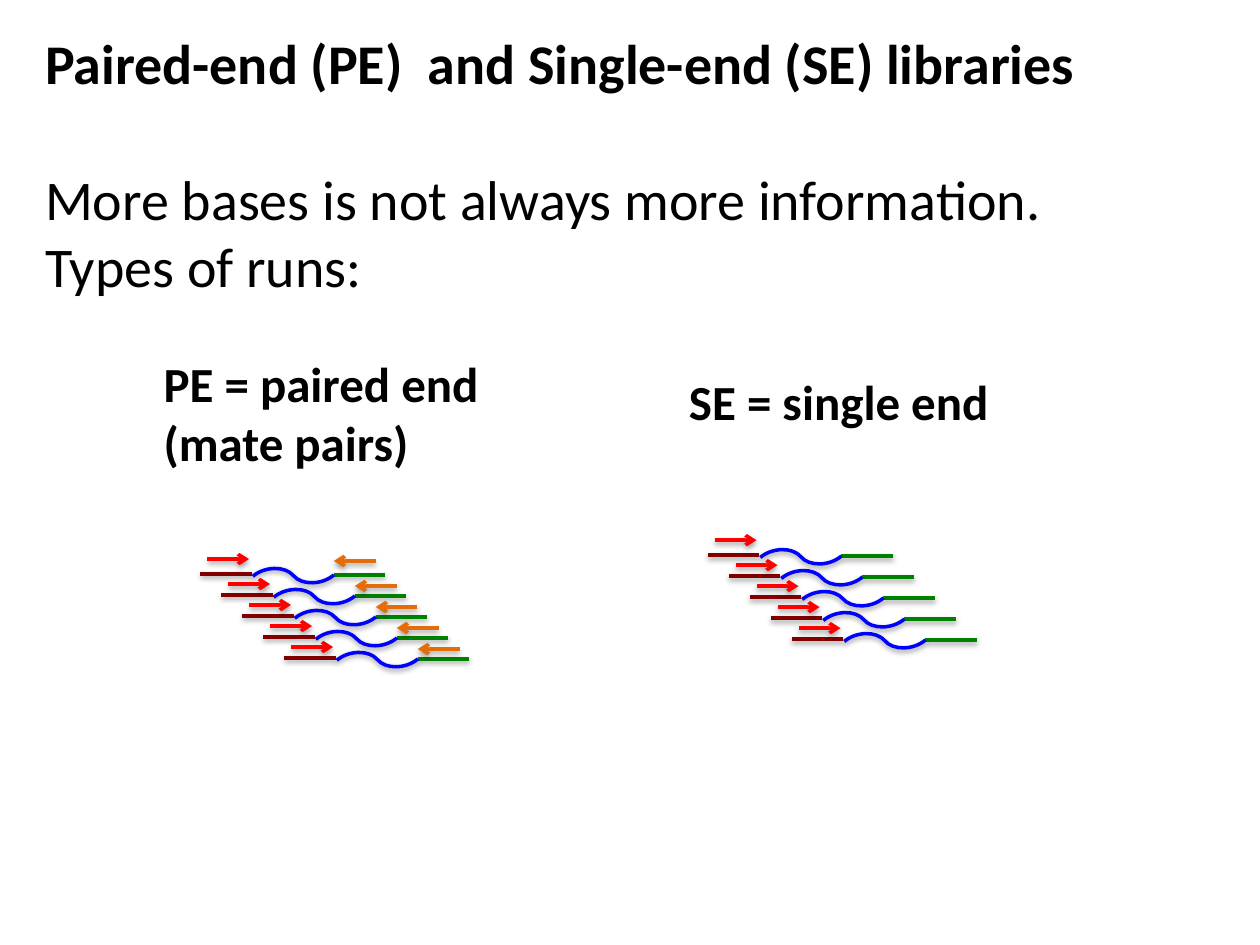
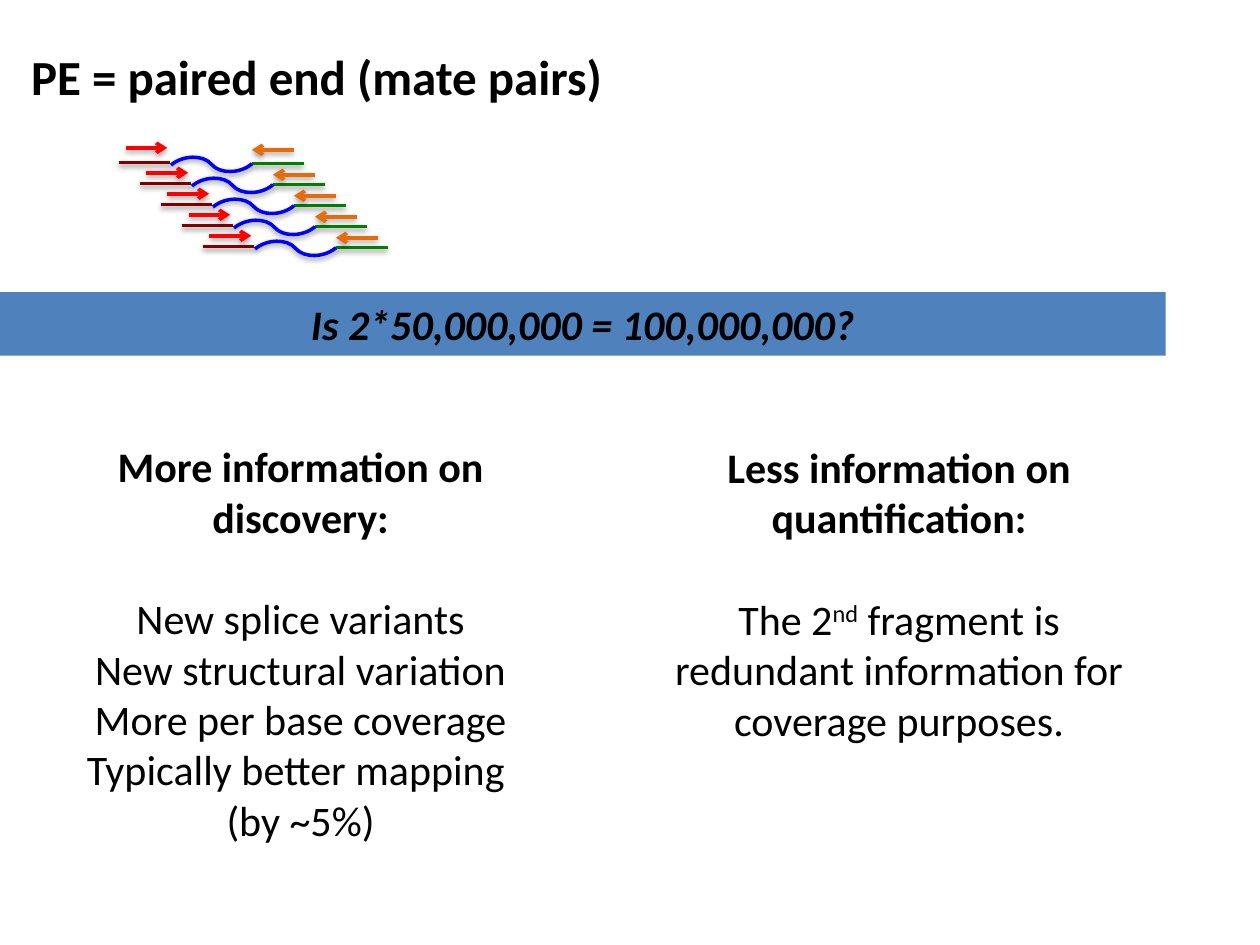
from lxml import etree
from pptx import Presentation
from pptx.dml.color import RGBColor
from pptx.enum.shapes import MSO_CONNECTOR, MSO_SHAPE
from pptx.enum.text import MSO_AUTO_SIZE, PP_ALIGN
from pptx.oxml.ns import qn
from pptx.util import Cm, Pt

STRAIGHT, CURVE = MSO_CONNECTOR.STRAIGHT, MSO_CONNECTOR.CURVE
RECT = MSO_SHAPE.RECTANGLE
LEFT, CENTER = PP_ALIGN.LEFT, PP_ALIGN.CENTER
GROW = MSO_AUTO_SIZE.SHAPE_TO_FIT_TEXT

BLACK = RGBColor(0x00, 0x00, 0x00)
BAND = RGBColor(0x4F, 0x81, 0xBD)
MAROON = RGBColor(0x80, 0x00, 0x00)
BLUE = RGBColor(0x00, 0x00, 0xFF)
GREEN = RGBColor(0x00, 0x80, 0x00)
RED = RGBColor(0xFF, 0x00, 0x00)
ORANGE = RGBColor(0xE4, 0x6C, 0x0A)

FONT = "Calibri"
LEADING = 1.22
ROWS = 5
STEP = 2.54 / 6


def write(frame, size, heads, body=(), align=LEFT, italic=False):
    """Bold heads, then a one-line gap and plain body; ^marks^ are raised."""
    for i, text in enumerate([*heads, *body]):
        para = frame.paragraphs[0] if i == 0 else frame.add_paragraph()
        para.alignment = align
        font = para.font
        font.name, font.size = FONT, Pt(size)
        font.bold, font.italic = i < len(heads), italic
        font.color.rgb = BLACK
        if i == len(heads):
            para.space_before = Pt(size * LEADING)
        for j, part in enumerate(text.split("^")):
            run = para.add_run()
            run.text = part
            if j % 2:
                run.font._element.set("baseline", "30000")


def add_text(slide, box, size, heads, body=(), align=LEFT, wrap=True):
    frame = slide.shapes.add_textbox(*map(Cm, box)).text_frame
    frame.word_wrap = wrap
    frame.auto_size = GROW
    write(frame, size, heads, body, align)


def add_band(slide, box, text):
    band = slide.shapes.add_shape(RECT, *map(Cm, box))
    band.shadow.inherit = False
    band.fill.solid()
    band.fill.fore_color.rgb = BAND
    band.line.fill.background()
    write(band.text_frame, 24, [text], align=CENTER, italic=True)


def add_line(shapes, color, start, end, kind=STRAIGHT, arrow=False):
    line = shapes.add_connector(kind, *map(Cm, (*start, *end)))
    line.line.color.rgb = color
    line.line.width = Pt(2)
    props = line.element.spPr
    if arrow:
        etree.SubElement(props.find(qn("a:ln")), qn("a:tailEnd"), type="arrow")
    effects = etree.SubElement(props, qn("a:effectLst"))
    shadow = etree.SubElement(effects, qn("a:outerShdw"), blurRad="40000",
                              dist="20000", dir="5400000", rotWithShape="0")
    tint = etree.SubElement(shadow, qn("a:srgbClr"), val="000000")
    etree.SubElement(tint, qn("a:alpha"), val="38000")
    return line


def add_reads(shapes, left, top, paired):
    """Draw a staircase of fragments with a read arrow at one or both ends."""
    for row in range(ROWS):
        x, y = left + row * STEP, top + row * STEP
        add_line(shapes, GREEN, (x + 2.69, y + 0.02), (x + 3.73, y + 0.02))
        wave = add_line(shapes, BLUE, (x + 2.51, y + 0.55),
                        (x + 1.24, y - 0.48), CURVE)
        wave.element.spPr.find(qn("a:xfrm")).set("rot", str(320 * 60000))
        add_line(shapes, MAROON, (x, y), (x + 1.04, y))
        tip = y - (0.22 if row else 0.3)
        if paired:
            add_line(shapes, ORANGE, (x + 3.53, tip + 0.04),
                     (x + 2.69, tip + 0.04), arrow=True)
        add_line(shapes, RED, (x + 0.14, tip), (x + 0.98, tip), arrow=True)


def add_pairs(slide, left, top):
    add_reads(slide.shapes.add_group_shape().shapes, left, top, True)


def build_types(slide):
    add_text(slide, (0.66, 0.46, 22.25, 5.74), 32,
             ["Paired-end (PE)  and Single-end (SE) libraries"],
             ["More bases is not always more information.", "Types of runs:"])
    add_pairs(slide, 4.04, 11.57)
    add_text(slide, (13.64, 7.37, 6.6, 1.45), 28, ["SE = single end"],
             wrap=False)
    add_text(slide, (3.05, 7.01, 6.93, 2.64), 28,
             ["PE = paired end", "(mate pairs)"], wrap=False)
    add_reads(slide.shapes, 14.27, 11.19, False)


def build_pairs(slide):
    add_text(slide, (0.38, 0.81, 12.78, 1.45), 28,
             ["PE = paired end (mate pairs)"])
    add_band(slide, (0, 5.89, 23.5, 1.28), "Is 2*50,000,000 = 100,000,000?")
    add_text(slide, (0.36, 8.76, 11.4, 8.46), 24,
             ["More information on discovery:"],
             ["New splice variants", "New structural variation",
              "More per base coverage", "Typically better mapping ",
              "(by ~5%)"], CENTER)
    add_text(slide, (12.93, 8.77, 10.39, 6.4), 24,
             ["Less information on quantification:"],
             ["The 2^nd^ fragment is redundant information for "
              "coverage purposes."], CENTER)
    add_pairs(slide, 2.39, 3.28)


def main():
    deck = Presentation()
    deck.slide_width, deck.slide_height = Cm(25.4), Cm(19.05)
    for build in (build_types, build_pairs):
        build(deck.slides.add_slide(deck.slide_layouts[6]))
    deck.save("out.pptx")


if __name__ == "__main__":
    main()
